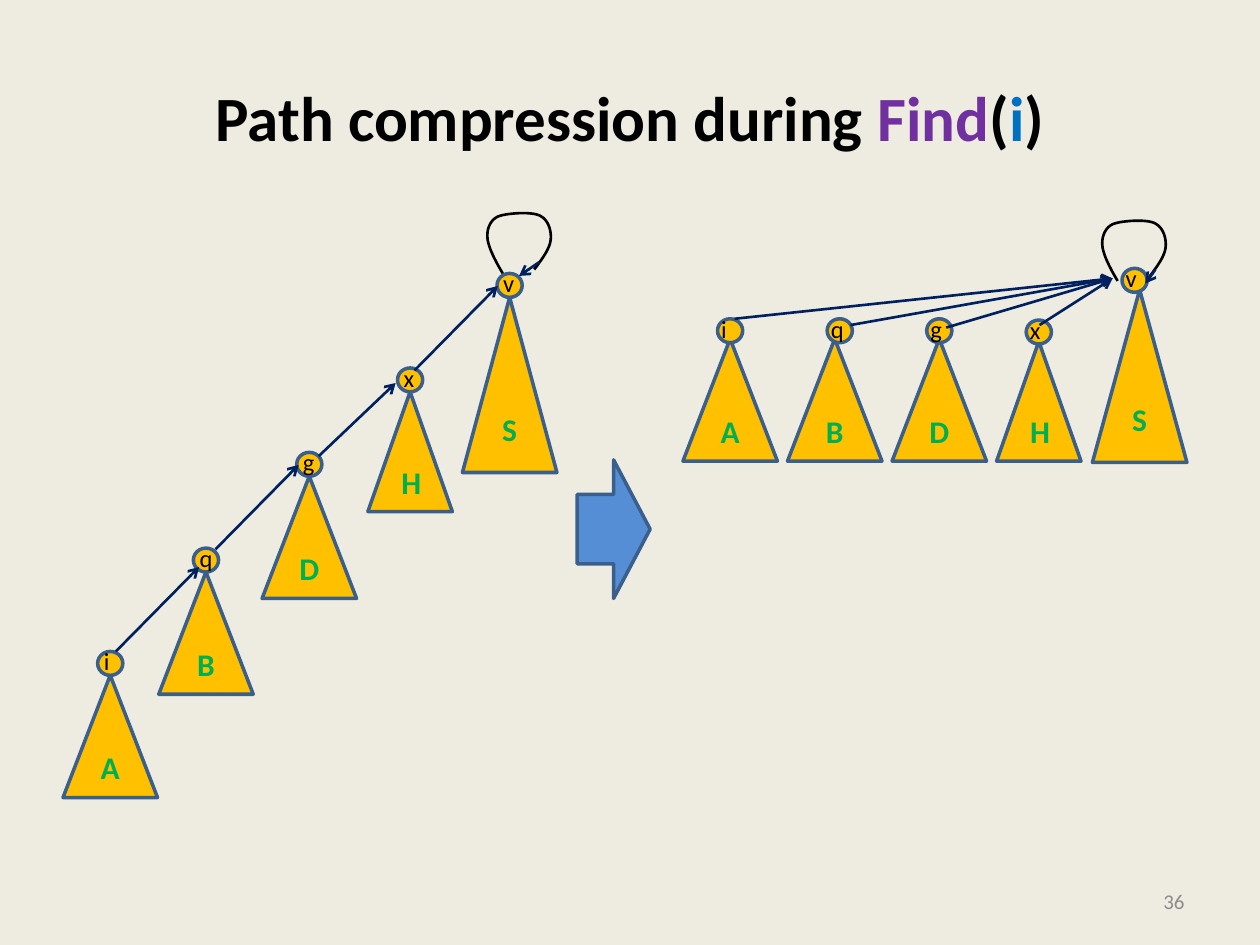
from pptx import Presentation
from pptx import util as u
from pptx.dml.color import RGBColor
from pptx.enum import shapes, text
from pptx.oxml.ns import qn
from lxml import etree

COLORS = {
    "page": "EEECE1", "black": "000000", "find": "7030A0", "index": "0070C0",
    "number": "8C8C8C", "tree": "FFC000", "outline": "3A5F8C",
    "letter": "00B050", "link": "002060", "step": "558ED5",
}
NODE_WIDTH, NODE_HEIGHT = 0.2, 0.19
LABEL_WIDTHS = {"i": 0.25, "q": 0.31}
LOOP_START = (0.12, 0.48)
LOOP_CURVES = [
    ((0.06, 0.38), (0.01, 0.28), (0, 0.21)),
    ((-0.01, 0.13), (0.02, 0.06), (0.08, 0.03)),
    ((0.15, 0), (0.35, -0.01), (0.41, 0.02)),
    ((0.48, 0.05), (0.51, 0.14), (0.5, 0.22)),
    ((0.49, 0.29), (0.43, 0.37), (0.37, 0.45)),
]


def color(name):
    return RGBColor.from_string(COLORS[name])


def inches(*lengths):
    return [u.Inches(length) for length in lengths]


def write(shape, runs, size, align, bold=False, **frame_format):
    """Write (text, colour name) runs as the only paragraph of a shape."""
    frame = shape.text_frame
    for name, value in frame_format.items():
        setattr(frame, name, value)
    para = frame.paragraphs[0]
    para.alignment = align
    for words, tint in runs:
        span = para.add_run()
        span.text = words
        for name, value in {"name": "Calibri", "size": u.Pt(size), "bold": bold}.items():
            setattr(span.font, name, value)
        span.font.color.rgb = color(tint)


def add_text(page, box, runs, size, align, **formats):
    write(page.shapes.add_textbox(*inches(*box)), runs, size, align, **formats)


def add_solid(page, kind, box, fill):
    shape = page.shapes.add_shape(kind, *inches(*box))
    shape.shadow.inherit = False
    shape.fill.solid()
    shape.fill.fore_color.rgb = color(fill)
    shape.line.color.rgb = color("outline")
    shape.line.width = u.Pt(2)
    return shape


def add_arrow(page, start, end):
    arrow = page.shapes.add_connector(
        shapes.MSO_CONNECTOR.STRAIGHT, *inches(*start, *end))
    arrow.line.color.rgb = color("link")
    arrow.line.width = u.Pt(1.5)
    etree.SubElement(arrow.line._get_or_add_ln(), qn("a:tailEnd"), type="arrow")
    etree.SubElement(arrow._element.spPr, qn("a:effectLst"))


def add_loop(page, left, top, steps=12):
    """Draw the root's self link, sampling its cubic curves."""
    start, points = LOOP_START, []
    for first, second, end in LOOP_CURVES:
        for step in range(1, steps + 1):
            t = step / steps
            weights = ((1 - t) ** 3, 3 * t * (1 - t) ** 2, 3 * t * t * (1 - t), t ** 3)
            points.append(tuple(
                u.Inches(offset + sum(w * p for w, p in zip(weights, axis)))
                for offset, axis in zip((left, top), zip(start, first, second, end))))
        start = end
    builder = page.shapes.build_freeform(
        *inches(left + LOOP_START[0], top + LOOP_START[1]))
    builder.add_line_segments(points, close=False)
    loop = builder.convert_to_shape()
    loop.shadow.inherit = False
    loop.fill.background()
    loop.line.color.rgb = color("black")
    loop.line.width = u.Pt(1.5)


def add_tree(page, box, letter, node, shift, label_shift):
    """Draw a subtree in box, with its root node at the apex moved by shift."""
    left, top, width, height = box
    triangle = add_solid(page, shapes.MSO_SHAPE.ISOSCELES_TRIANGLE, box, "tree")
    write(triangle, [(letter, "letter")], 18, text.PP_ALIGN.CENTER, bold=True,
          vertical_anchor=text.MSO_ANCHOR.MIDDLE)
    node_left = left + (width - NODE_WIDTH) / 2 + shift[0]
    node_top = top - NODE_HEIGHT + shift[1]
    add_solid(page, shapes.MSO_SHAPE.OVAL,
              (node_left, node_top, NODE_WIDTH, NODE_HEIGHT), "tree")
    label_box = (node_left + label_shift, node_top - 0.09,
                 LABEL_WIDTHS.get(node, 0.29), 0.34)
    add_text(page, label_box, [(node, "black")], 14, text.PP_ALIGN.LEFT,
             word_wrap=False, auto_size=text.MSO_AUTO_SIZE.SHAPE_TO_FIT_TEXT)


def add_forest(page, origin, trees, links, loop, label_shift):
    """Draw trees, links and the root's loop, all placed from origin."""
    left, top = origin
    for (x, y, width, height), letter, node, shift in trees:
        add_tree(page, (left + x, top + y, width, height),
                 letter, node, shift, label_shift)
    add_loop(page, left + loop, top)
    for start, end in links:
        add_arrow(page, *((left + x, top + y) for x, y in (start, end)))


def add_chain(page, origin):
    trees = [
        ((0, 3.67, 0.75, 0.97), "A", "i", (0, 0)),
        ((0.76, 2.85, 0.75, 0.97), "B", "q", (0, 0)),
        ((1.58, 2.09, 0.75, 0.97), "D", "g", (0, 0)),
        ((2.42, 1.42, 0.67, 0.95), "H", "x", (0, 0)),
        ((3.17, 0.67, 0.75, 1.39), "S", "v", (0, 0)),
    ]
    links = [
        ((0.42, 3.48), (1.08, 2.81)),
        ((1.21, 2.67), (1.87, 2.0)),
        ((2.03, 1.93), (2.64, 1.35)),
        ((2.79, 1.25), (3.45, 0.58)),
        ((3.78, 0.39), (3.62, 0.5)),
    ]
    add_forest(page, origin, trees, links, loop=3.37, label_shift=-0.05)


def add_flat(page, origin):
    pitch, root = 0.83, (3.41, 0.46)
    trees = [
        ((0, 0.94, 0.75, 0.97), "A", "i", (0, 0.03)),
        ((pitch, 0.94, 0.75, 0.97), "B", "q", (0.04, 0.03)),
        ((2 * pitch, 0.94, 0.75, 0.97), "D", "g", (0, 0.03)),
        ((3 * pitch, 0.96, 0.67, 0.95), "H", "x", (0, 0.02)),
        ((3.25, 0.55, 0.75, 1.37), "S", "v", (-0.04, 0.02)),
    ]
    starts = [(2.83, 0.83), (2.09, 0.85), (1.33, 0.83), (0.41, 0.78)]
    links = [(start, root) for start in starts] + [((3.75, 0.39), (3.67, 0.5))]
    add_forest(page, origin, trees, links, loop=3.33, label_shift=-0.07)


def add_headings(page):
    title = [("Path compression during ", "black"), ("Find", "find"),
             ("(", "black"), ("i", "index"), (")", "black")]
    middle = {"word_wrap": True, "vertical_anchor": text.MSO_ANCHOR.MIDDLE}
    add_text(page, (0.5, 0.3, 9, 1.25), title, 36, text.PP_ALIGN.CENTER,
             bold=True, **middle)
    add_text(page, (7.17, 6.95, 2.33, 0.4), [("36", "number")], 12,
             text.PP_ALIGN.RIGHT, **middle)


def main():
    deck = Presentation()
    deck.slide_width, deck.slide_height = inches(10, 7.5)
    page = deck.slides.add_slide(deck.slide_layouts[6])
    page.background.fill.solid()
    page.background.fill.fore_color.rgb = color("page")
    add_headings(page)
    add_chain(page, (0.5, 1.69))
    add_solid(page, shapes.MSO_SHAPE.RIGHT_ARROW, (4.58, 3.65, 0.58, 1.1), "step")
    add_flat(page, (5.42, 1.75))
    deck.save("out.pptx")


if __name__ == "__main__":
    main()
